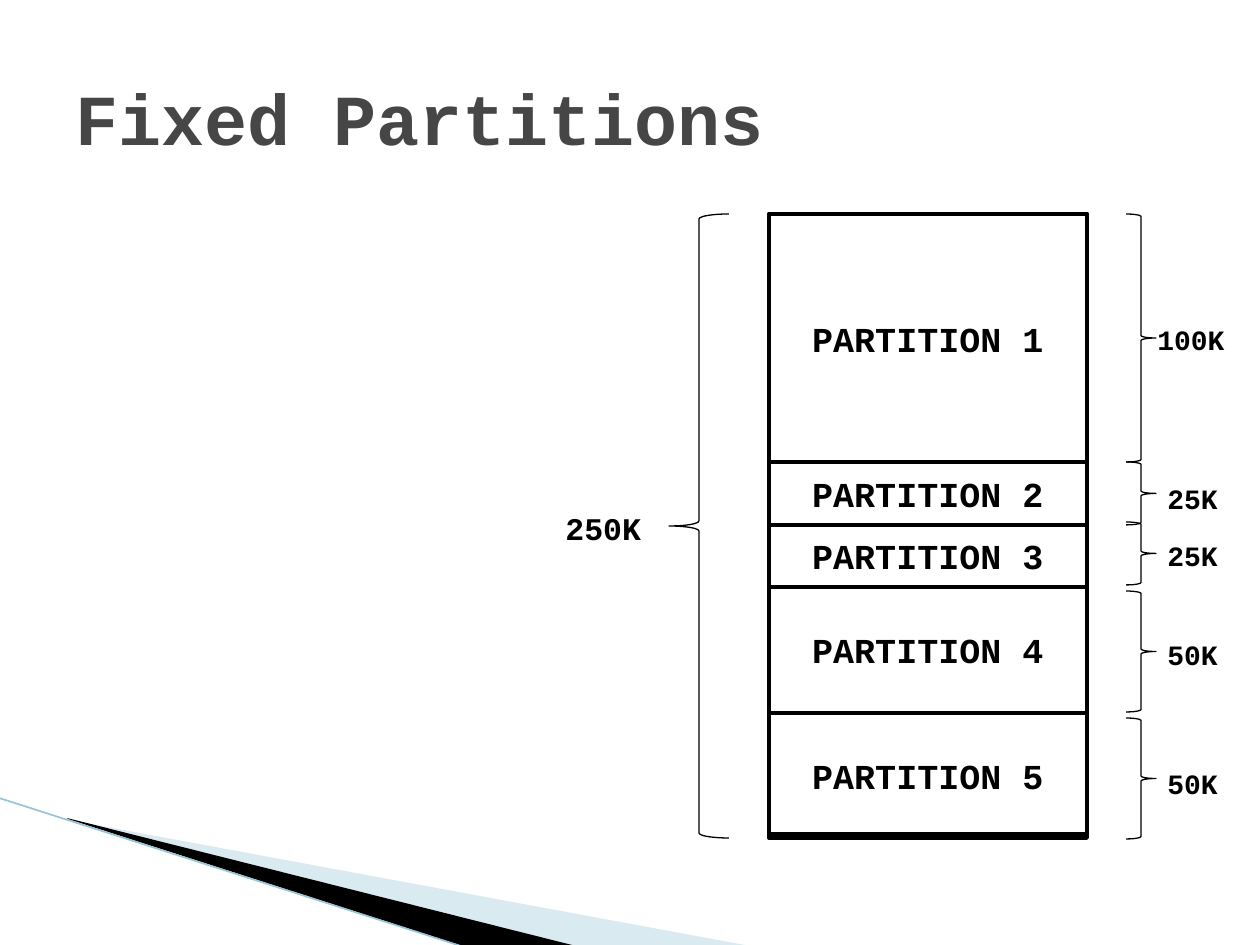
"""Build the Fixed Partitions slide: a memory block split into five sized partitions."""
from lxml import etree
from pptx import Presentation
from pptx import util as u
from pptx.dml.color import RGBColor
from pptx.enum import shapes, text
from pptx.oxml.ns import qn

PX = 914400 / 126
BLACK = RGBColor(0x00, 0x00, 0x00)
GREY = RGBColor(0x46, 0x46, 0x46)
PALE = RGBColor(0xA0, 0xCB, 0xDC)
TEAL = RGBColor(0x97, 0xC5, 0xD8)
FONT = "Courier New"


def add_outline(kind, x, y, w, h, weight):
    sp = s.shapes.add_shape(kind, *(u.Emu(int(v * PX)) for v in (x, y, w, h)))
    sp.shadow.inherit = False
    sp.fill.background()
    sp.line.color.rgb = BLACK
    sp.line.width = u.Pt(weight)
    return sp


def write(sp, words, size, color=BLACK, align=text.PP_ALIGN.LEFT, wrap=False):
    tf = sp.text_frame
    tf.text = words
    tf.word_wrap = wrap
    p = tf.paragraphs[0]
    p.alignment = align
    r = p.runs[0]
    r.font.name = FONT
    r.font.size = u.Pt(size)
    r.font.bold = True
    r.font.color.rgb = color
    return tf


prs = Presentation()
prs.slide_width = u.Emu(int(1260 * PX))
prs.slide_height = u.Emu(int(945 * PX))
s = prs.slides.add_slide(prs.slide_layouts[6])

wedges = [
    (PALE, [(69, 820), (750, 946), (575, 946), (69, 819)]),
    (BLACK, [(67, 818), (576, 946), (469, 948), (68, 819)]),
]
for color, points in wedges:
    fb = s.shapes.build_freeform(*points[0], scale=PX)
    fb.add_line_segments(points[1:], close=True)
    sp = fb.convert_to_shape()
    sp.shadow.inherit = False
    sp.fill.solid()
    sp.fill.fore_color.rgb = color
    sp.line.fill.background()
    if color == PALE:
        clr = sp._element.spPr.find(qn("a:solidFill"))[0]
        etree.SubElement(clr, qn("a:alpha"), val="40000")

edge = s.shapes.add_connector(
    shapes.MSO_CONNECTOR.STRAIGHT, *(u.Emu(int(v * PX)) for v in (-1, 798, 467, 948)))
edge.line.color.rgb = TEAL
edge.line.width = u.Pt(0.95)
etree.SubElement(edge._element.spPr, qn("a:effectLst"))

title = s.shapes.add_textbox(*(u.Emu(int(v * PX)) for v in (63, 38, 1134, 157)))
tf = write(title, "Fixed Partitions", 41, GREY, wrap=True)
tf.vertical_anchor = text.MSO_ANCHOR.MIDDLE

add_outline(shapes.MSO_SHAPE.RECTANGLE, 769, 214, 318, 620, 2.25)
tops = [214, 462, 525, 587, 713, 838]
for i, (top, bottom) in enumerate(zip(tops, tops[1:]), 1):
    sp = add_outline(shapes.MSO_SHAPE.RECTANGLE, 769, top, 318, bottom - top, 2.25)
    tf = write(sp, f"PARTITION {i}", 20, align=text.PP_ALIGN.CENTER, wrap=True)
    tf.vertical_anchor = text.MSO_ANCHOR.MIDDLE

for top, height in [(214, 248), (462, 63), (522, 63), (591, 121), (718, 121)]:
    add_outline(shapes.MSO_SHAPE.RIGHT_BRACE, 1126, top, 30, height, 0.75)
add_outline(shapes.MSO_SHAPE.LEFT_BRACE, 669, 214, 60, 624, 0.75)

labels = [
    ("250K", 553, 503, 107, 50, 18),
    ("100K", 1145, 316, 98, 47, 16),
    ("25K", 1155, 475, 79, 47, 16),
    ("25K", 1155, 532, 79, 47, 16),
    ("50K", 1155, 631, 79, 47, 16),
    ("50K", 1155, 760, 79, 47, 16),
]
for words, x, y, w, h, size in labels:
    box = s.shapes.add_textbox(*(u.Emu(int(v * PX)) for v in (x, y, w, h)))
    tf = write(box, words, size)
    tf.auto_size = text.MSO_AUTO_SIZE.SHAPE_TO_FIT_TEXT

prs.save("out.pptx")
